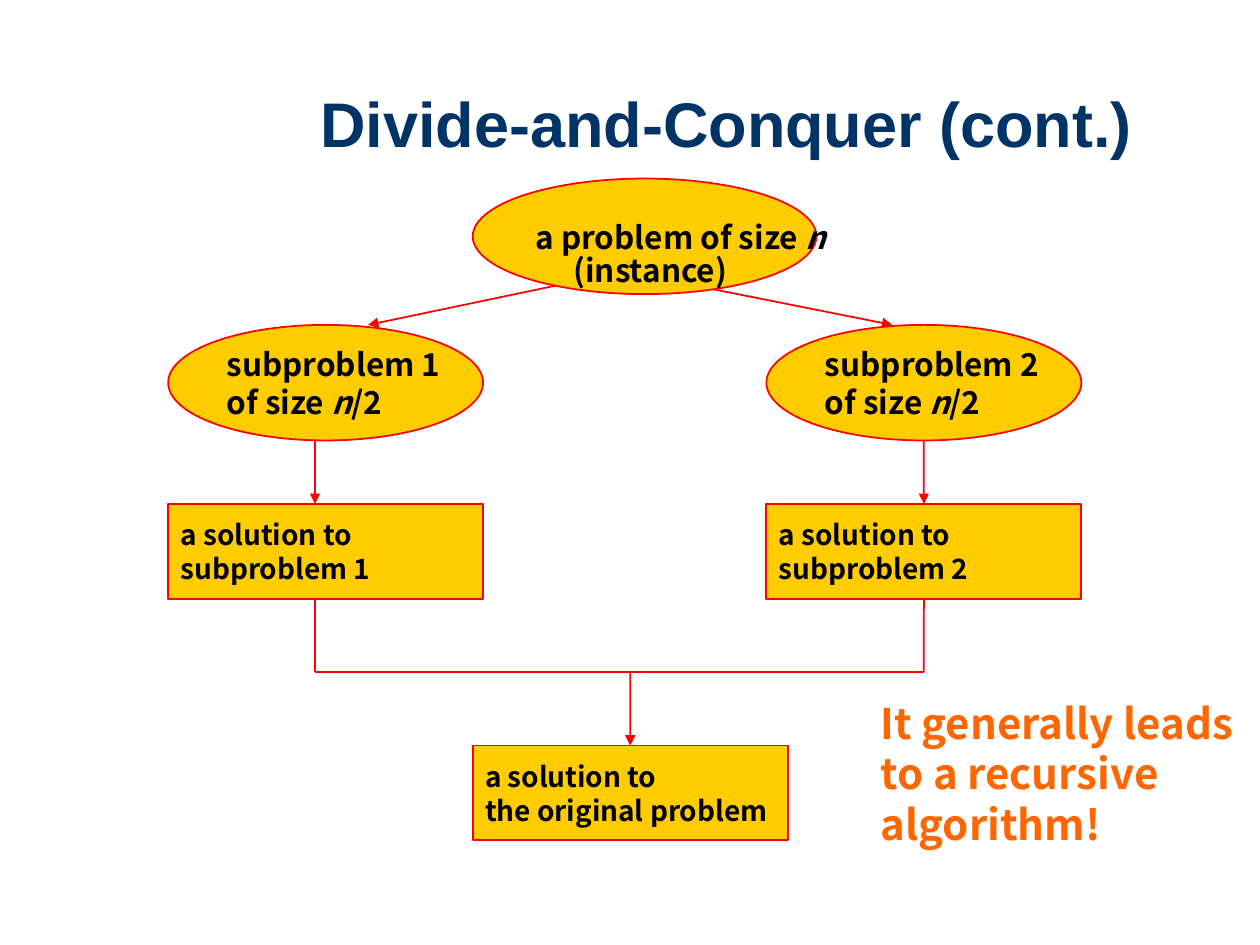
from lxml import etree
from pptx import Presentation
from pptx.dml.color import RGBColor
from pptx.enum import shapes, text
from pptx.oxml import ns
from pptx.util import Cm, Pt

BODY_FONT = "Noto Sans CJK SC"
GOLD, RED, BLACK, NAVY, ORANGE = "FFCC00", "FF0000", "000000", "003366", "FF6600"
OVAL, BOX = shapes.MSO_SHAPE.OVAL, shapes.MSO_SHAPE.RECTANGLE
NODE_W, OVAL_H, BOX_H = 6.35, 2.33, 1.91
OVAL_TOP, BOX_TOP, JOIN_Y = 6.55, 10.16, 13.54


def rgb(value):
    return RGBColor.from_string(value)


def write(frame, lines, size, color=BLACK, font=BODY_FONT, leading=1.21):
    """Each line is a list of strings; strings starting with * are italic."""
    for i, pieces in enumerate(lines):
        paragraph = frame.paragraphs[0] if i == 0 else frame.add_paragraph()
        paragraph.alignment = text.PP_ALIGN.LEFT
        paragraph.line_spacing = Pt(round(size * leading, 1))
        for piece in pieces:
            run = paragraph.add_run()
            run.text = piece.lstrip("*")
            run.font.name, run.font.size, run.font.bold = font, Pt(size), True
            run.font.italic = piece.startswith("*")
            run.font.color.rgb = rgb(color)


def add_node(slide, kind, left, top, width, height, lines, size):
    node = slide.shapes.add_shape(kind, Cm(left), Cm(top), Cm(width), Cm(height))
    node.shadow.inherit = False
    node.fill.solid()
    node.fill.fore_color.rgb = rgb(GOLD)
    node.line.color.rgb = rgb(RED)
    node.line.width = Pt(1)
    node.text_frame.word_wrap = False
    node.text_frame.vertical_anchor = text.MSO_ANCHOR.MIDDLE
    write(node.text_frame, lines, size)
    return node


def add_line(slide, x1, y1, x2, y2, arrow=False):
    line = slide.shapes.add_connector(
        shapes.MSO_CONNECTOR.STRAIGHT, Cm(x1), Cm(y1), Cm(x2), Cm(y2))
    line.line.color.rgb = rgb(RED)
    line.line.width = Pt(1)
    if arrow:
        head = etree.SubElement(line.line._get_or_add_ln(), ns.qn("a:tailEnd"))
        head.set("type", "triangle")
        head.set("w", "med")
        head.set("len", "med")
    etree.SubElement(line._element.spPr, ns.qn("a:effectLst"))
    return line


def add_title(slide, left, top, width, height):
    title = slide.shapes.title
    title.left, title.top, title.width, title.height = map(Cm, (left, top, width, height))
    frame = title.text_frame
    frame.vertical_anchor = text.MSO_ANCHOR.MIDDLE
    write(frame, [["Divide-and-Conquer (cont.)"]], 36, NAVY, "Arial")
    frame.paragraphs[0].alignment = text.PP_ALIGN.CENTER
    frame.paragraphs[0].line_spacing = 1.0


def add_branch(slide, left, number, trunk_x):
    """A subproblem, its solution and the lines below each."""
    add_node(slide, OVAL, left, OVAL_TOP, NODE_W, OVAL_H,
             [[f"subproblem {number}"], ["of size ", "*n", "/2"]], 18)
    solution = add_node(slide, BOX, left, BOX_TOP, NODE_W, BOX_H,
                        [["a solution to"], [f"subproblem {number}"]], 16)
    solve = add_line(slide, trunk_x, OVAL_TOP + OVAL_H, trunk_x, BOX_TOP, arrow=True)
    merge = add_line(slide, trunk_x, BOX_TOP + BOX_H, trunk_x, JOIN_Y)
    # Only a trunk through the middle of the box is joined to it
    if abs(trunk_x - left - NODE_W / 2) < 0.02:
        solve.end_connect(solution, 0)
        merge.begin_connect(solution, 2)


def add_note(slide, left, top, width, height, words, size, color=BLACK):
    note = slide.shapes.add_textbox(Cm(left), Cm(top), Cm(width), Cm(height))
    note.text_frame.word_wrap = True
    write(note.text_frame, [[words]], size, color)


def add_problem(slide, left, top):
    # Arrows lie behind the oval
    add_line(slide, left + 1.9, top + 2.11, left - 2.11, OVAL_TOP, arrow=True)
    add_line(slide, left + 4.24, top + 2.11, left + 8.46, OVAL_TOP, arrow=True)
    add_node(slide, OVAL, left, top, 6.93, OVAL_H, [["a problem of size ", "*n"]], 18)
    add_note(slide, left + 1.78, top + 1.33, 4.01, 1.02, "(instance)", 18)


def add_combined(slide, left, top, from_x, to_x):
    add_line(slide, from_x, JOIN_Y, to_x, JOIN_Y)
    combined = add_node(slide, BOX, left, top, NODE_W, BOX_H,
                        [["a solution to"], ["the original problem"]], 16)
    middle = left + NODE_W / 2
    add_line(slide, middle, JOIN_Y, middle, top, arrow=True).end_connect(combined, 0)


def main():
    deck = Presentation()
    deck.slide_width, deck.slide_height = Cm(25.4), Cm(19.05)
    slide = deck.slides.add_slide(deck.slide_layouts[5])
    left_trunk, right_trunk = 6.35, 18.62

    add_title(slide, 3.89, 1.52, 21.51, 1.91)
    add_branch(slide, 3.39, 1, left_trunk)
    add_branch(slide, 15.45, 2, right_trunk)
    add_problem(slide, 9.53, 3.6)
    add_combined(slide, 9.53, 15.03, left_trunk, right_trunk)
    add_note(slide, 17.5, 13.92, 7.62, 3.33,
             "It generally leads to a recursive algorithm!", 24, ORANGE)
    deck.save("out.pptx")


if __name__ == "__main__":
    main()
